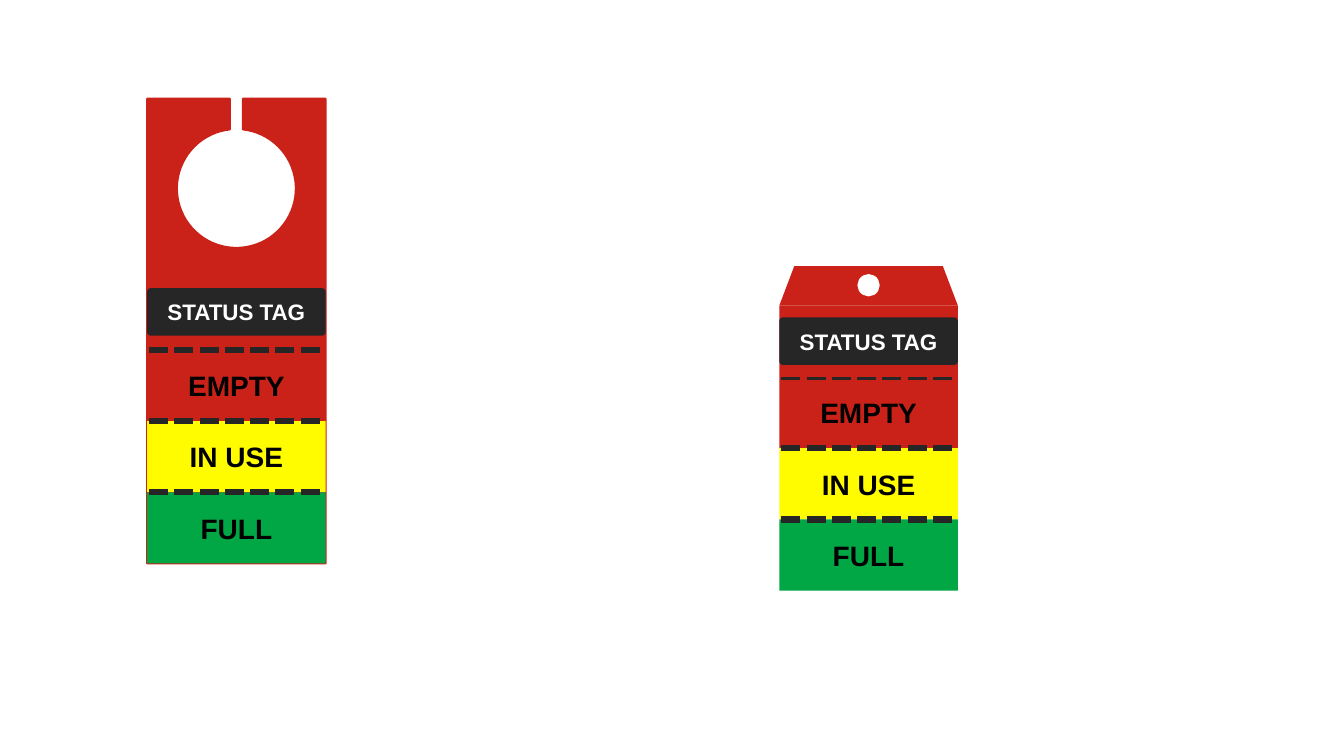
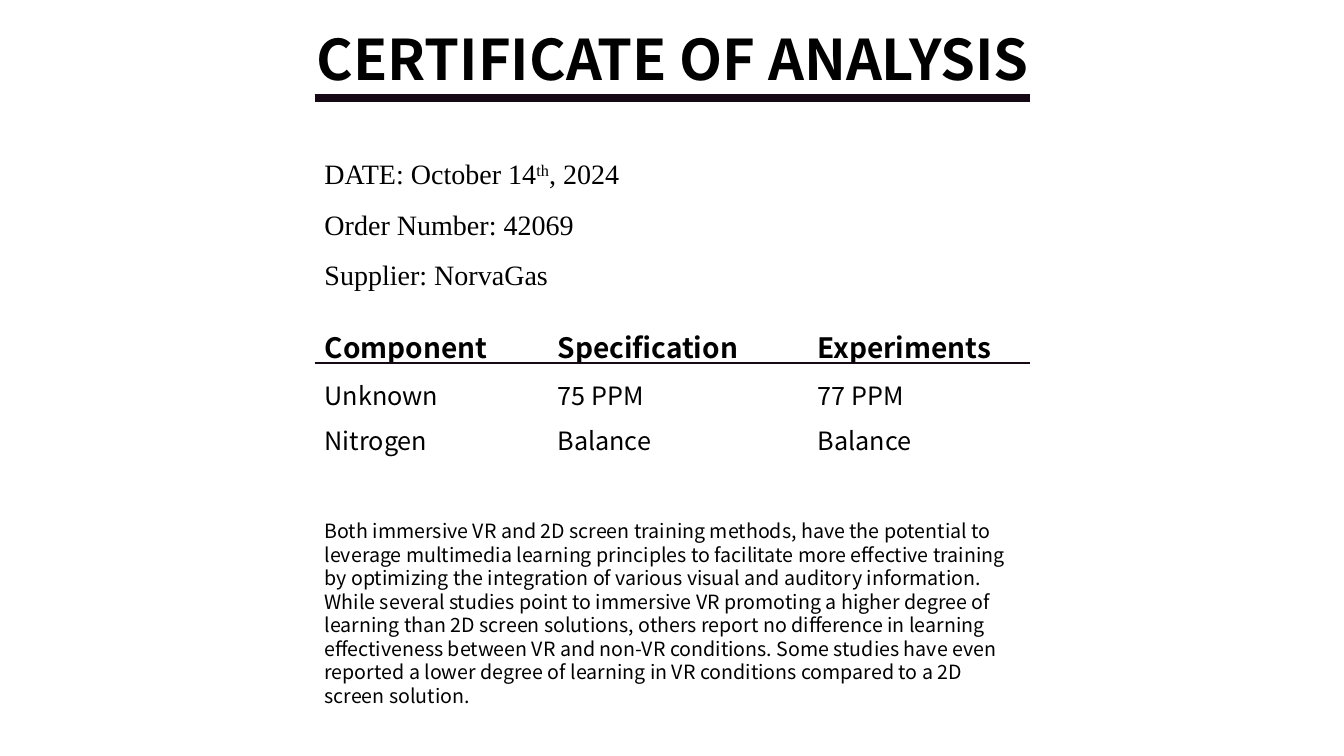
import math
from dataclasses import dataclass

from lxml import etree
from pptx import Presentation
from pptx import util as u
from pptx.dml.color import RGBColor
from pptx.enum import dml, shapes, text
from pptx.oxml.ns import qn

PX = u.Inches(1) // 100


@dataclass(frozen=True)
class Theme:
    red: str = "CA2219"
    yellow: str = "FFFC00"
    green: str = "00A744"
    dark: str = "262626"
    rule: str = "150914"
    white: str = "FFFFFF"
    black: str = "000000"
    tag_font: str = "Arial"
    page_font: str = "Noto Sans CJK SC"
    details_font: str = "Times New Roman"
    title_size: int = 40
    heading_size: int = 20
    cell_size: int = 18
    label_size: int = 16
    body_size: int = 14


@dataclass(frozen=True)
class Box:
    left: float
    top: float
    width: float
    height: float

    def inner(self, left, top, width, height):
        """A box given relative to this one."""
        return Box(self.left + left, self.top + top, width, height)

    def emu(self):
        return [px(n) for n in (self.left, self.top, self.width, self.height)]


THEME = Theme()
STATUSES = [("EMPTY", THEME.red), ("IN USE", THEME.yellow), ("FULL", THEME.green)]
DETAILS = [["DATE: October 14", "th", ", 2024"], ["Order Number: 42069"], ["Supplier: NorvaGas"]]
RESULTS = [
    ["Component", "Specification", "Experiments"],
    ["Unknown", "75 PPM", "77 PPM"],
    ["Nitrogen", "Balance", "Balance"],
]
SUMMARY = (
    "Both immersive VR and 2D screen training methods, have the potential to leverage "
    "multimedia learning principles to facilitate more effective training by optimizing "
    "the integration of various visual and auditory information. While several studies "
    "point to immersive VR promoting a higher degree of learning than 2D screen solutions, "
    "others report no difference in learning effectiveness between VR and non-VR conditions. "
    "Some studies have even reported a lower degree of learning in VR conditions compared "
    "to a 2D screen solution."
)


def px(number):
    return u.Emu(round(number * PX))


def rgb(colour):
    return RGBColor.from_string(colour)


def style_font(font, name, size, colour=THEME.black, bold=False):
    font.name, font.size, font.bold = name, u.Pt(size), bold
    font.color.rgb = rgb(colour)


def paint(shape, fill, outline=None):
    shape.shadow.inherit = False
    shape.fill.solid()
    shape.fill.fore_color.rgb = rgb(fill)
    if outline:
        shape.line.color.rgb = rgb(outline)
        shape.line.width = u.Pt(1.5)
    else:
        shape.line.fill.background()


def add_block(page, kind, box, fill, outline=None):
    shape = page.shapes.add_shape(kind, *box.emu())
    paint(shape, fill, outline)
    return shape


def add_label(shape, words, size, colour):
    frame = shape.text_frame
    frame.text = words
    frame.vertical_anchor = text.MSO_ANCHOR.MIDDLE
    para = frame.paragraphs[0]
    para.alignment = text.PP_ALIGN.CENTER
    style_font(para.runs[0].font, THEME.tag_font, size, colour, True)


def add_rule(page, left, top, width, colour, weight):
    rule = page.shapes.add_connector(
        shapes.MSO_CONNECTOR.STRAIGHT, px(left), px(top), px(left + width), px(top))
    rule.line.color.rgb = rgb(colour)
    rule.line.width = u.Pt(weight)
    etree.SubElement(rule.element.spPr, qn("a:effectLst"))
    return rule


def add_text_box(page, box):
    frame = page.shapes.add_textbox(*box.emu()).text_frame
    frame.word_wrap = True
    frame.auto_size = text.MSO_AUTO_SIZE.SHAPE_TO_FIT_TEXT
    return frame


def add_tag_label(page, box):
    label = add_block(page, shapes.MSO_SHAPE.ROUNDED_RECTANGLE, box, THEME.dark)
    label.adjustments[0] = 0.07
    add_label(label, "STATUS TAG", THEME.label_size, THEME.white)


def add_status_bands(page, box):
    """Equal colour bands, each with a tear line along its top."""
    height = box.height / len(STATUSES)
    bands = [box.inner(0, i * height, box.width, height) for i in range(len(STATUSES))]
    for band, (words, colour) in zip(bands, STATUSES):
        block = add_block(page, shapes.MSO_SHAPE.RECTANGLE, band, colour)
        add_label(block, words, THEME.heading_size, THEME.black)
    for band in bands:
        tear = add_rule(page, band.left + 2, band.top, band.width - 4, THEME.dark, 4.5)
        tear.line.dash_style = dml.MSO_LINE.SQUARE_DOT


def add_hanger(page, box, radius=59, slot=13, centre_top=89):
    """A card with a round hole that opens to the top edge through a slot."""
    gap = math.asin(slot / 2 / radius)
    steps = 72
    angles = [gap + (2 * math.pi - 2 * gap) * i / steps for i in range(steps + 1)]
    middle = box.width / 2
    hole = [(middle - radius * math.sin(a), centre_top - radius * math.cos(a)) for a in angles]
    outline = [(0, 0), (middle - slot / 2, 0), *hole, (middle + slot / 2, 0),
               (box.width, 0), (box.width, box.height), (0, box.height)]
    points = [(px(box.left + x), px(box.top + y)) for x, y in outline]
    builder = page.shapes.build_freeform(*points[0])
    builder.add_line_segments(points[1:], close=True)
    paint(builder.convert_to_shape(), THEME.red, THEME.red)


def add_hanger_tag(page, box):
    add_hanger(page, box)
    add_tag_label(page, box.inner(0, 188, box.width, 47))
    add_status_bands(page, box.inner(0, 249, box.width, 212))


def add_tie_tag(page, box):
    add_status_bands(page, box.inner(0, 110, box.width, 212))
    add_block(page, shapes.MSO_SHAPE.RECTANGLE, box.inner(0, 39, box.width, 71), THEME.red)
    add_tag_label(page, box.inner(0, 51, box.width, 47))
    top = add_block(page, shapes.MSO_SHAPE.TRAPEZOID, box.inner(0, 0, box.width, 39), THEME.red)
    top.adjustments[0] = 0.38
    eyelet = box.inner(box.width / 2 - 10, 9, 20, 20)
    add_block(page, shapes.MSO_SHAPE.OVAL, eyelet, THEME.white, THEME.white)


def add_title(page, box):
    title = page.shapes.title
    title.left, title.top, title.width, title.height = box.emu()
    frame = title.text_frame
    frame.text = "CERTIFICATE OF ANALYSIS"
    frame.word_wrap = True
    frame.auto_size = text.MSO_AUTO_SIZE.SHAPE_TO_FIT_TEXT
    frame.vertical_anchor = text.MSO_ANCHOR.TOP
    para = frame.paragraphs[0]
    para.alignment = text.PP_ALIGN.CENTER
    style_font(para.runs[0].font, THEME.page_font, THEME.title_size, bold=True)


def add_details(page, box):
    frame = add_text_box(page, box)
    for i, pieces in enumerate(DETAILS):
        para = frame.paragraphs[0] if i == 0 else frame.add_paragraph()
        para.line_spacing = 1.5
        for words in pieces:
            span = para.add_run()
            span.text = words
            style_font(span.font, THEME.details_font, THEME.heading_size)
            if words == "th":
                span.font._element.set("baseline", "30000")


def add_results(page, box, widths):
    table = page.shapes.add_table(len(RESULTS), len(widths), *box.emu()).table
    table.first_row = table.horz_banding = False
    for column, width in zip(table.columns, widths):
        column.width = px(width)
    for r, row in enumerate(RESULTS):
        heading = r == 0
        for c, words in enumerate(row):
            cell = table.cell(r, c)
            cell.fill.background()
            cell.margin_top = cell.margin_bottom = 0
            cell.vertical_anchor = text.MSO_ANCHOR.BOTTOM
            cell.text = words
            size = THEME.heading_size if heading else THEME.cell_size
            style_font(cell.text_frame.paragraphs[0].runs[0].font, THEME.page_font, size,
                       bold=heading)


def add_summary(page, box):
    para = add_text_box(page, box).paragraphs[0]
    para.text = SUMMARY
    style_font(para.runs[0].font, THEME.page_font, THEME.body_size)


def add_certificate(page, box):
    sheet = add_block(page, shapes.MSO_SHAPE.RECTANGLE, box, THEME.white, THEME.white)
    page.shapes.title.element.addprevious(sheet.element)
    body = box.inner(20, 0, box.width - 40, box.height)
    add_title(page, box.inner(0, 19, box.width, 77))
    add_details(page, body.inner(0, 134, 570, 156))
    add_rule(page, body.left, body.top + 97, body.width, THEME.rule, 6)
    add_results(page, body.inner(0, 319, body.width, 135), [231, 258, 221])
    add_rule(page, body.left, body.top + 360, body.width, THEME.rule, 1.5)
    add_summary(page, body.inner(0, 510, body.width, 175))


def main():
    deck = Presentation()
    deck.slide_width, deck.slide_height = px(1333), px(750)
    title_only, blank = deck.slide_layouts[5], deck.slide_layouts[6]
    tags = deck.slides.add_slide(blank)
    add_hanger_tag(tags, Box(146, 98, 177, 461))
    add_tie_tag(tags, Box(773, 264, 177, 322))
    add_certificate(deck.slides.add_slide(title_only), Box(292, 0, 750, 750))
    deck.save("out.pptx")


if __name__ == "__main__":
    main()
